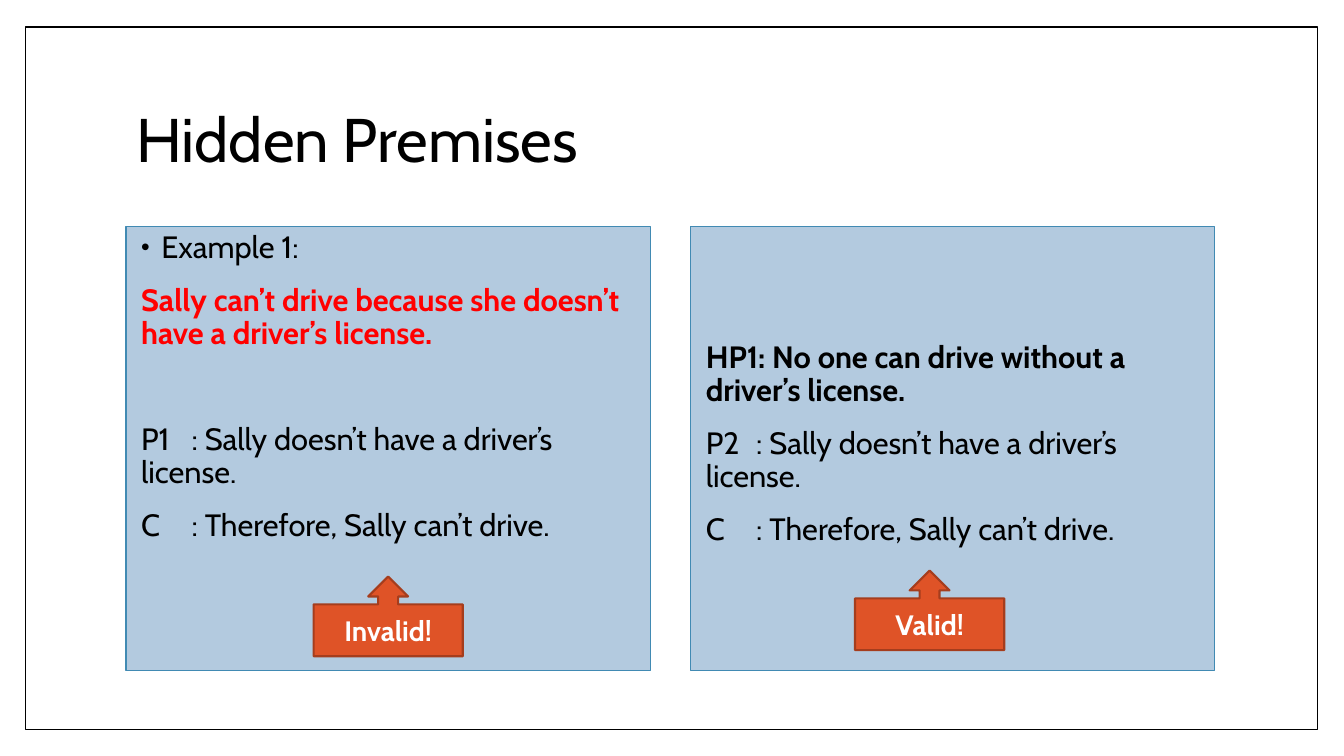
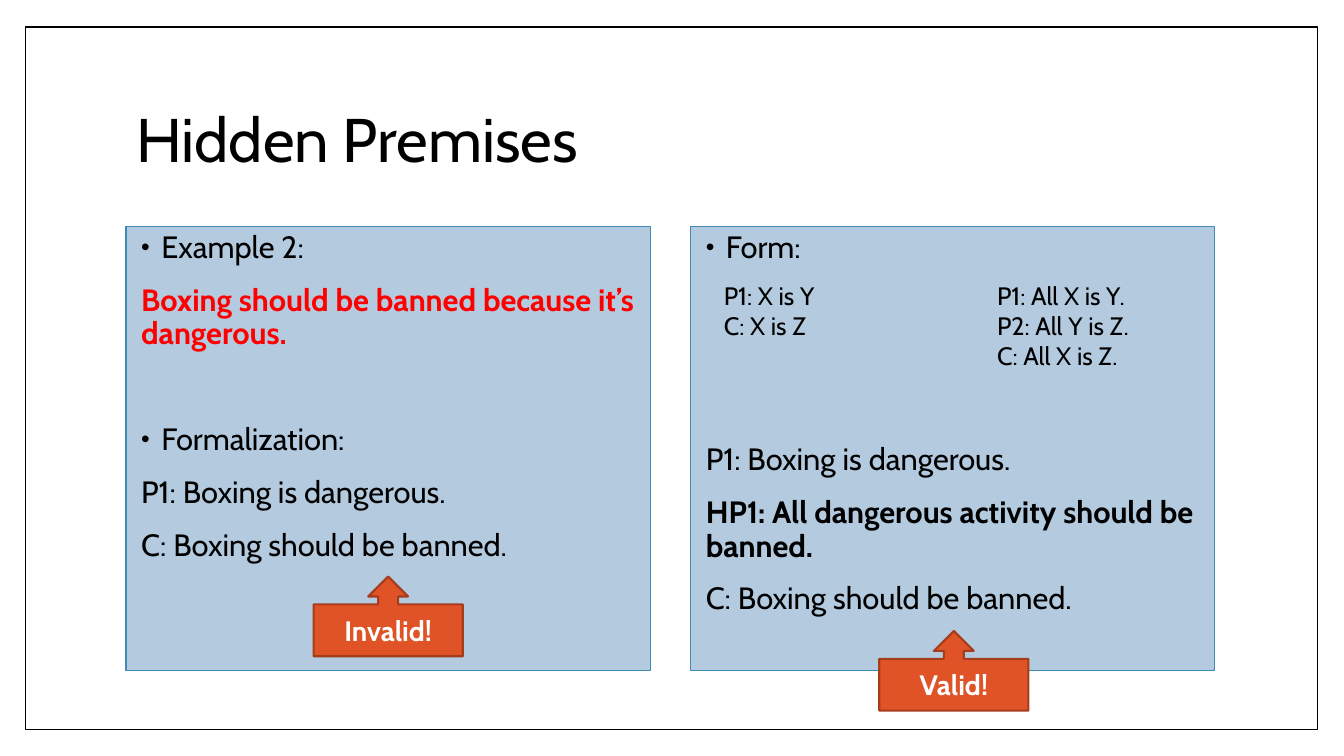
from lxml import etree
from pptx import Presentation
from pptx.dml.color import RGBColor
from pptx.enum.shapes import MSO_SHAPE
from pptx.enum.text import MSO_ANCHOR, MSO_AUTO_SIZE, PP_ALIGN
from pptx.oxml.ns import qn
from pptx.util import Inches, Pt

RECTANGLE = MSO_SHAPE.RECTANGLE
UP_CALLOUT = MSO_SHAPE.UP_ARROW_CALLOUT
MIDDLE, TOP = MSO_ANCHOR.MIDDLE, MSO_ANCHOR.TOP
NO_FIT, GROW = MSO_AUTO_SIZE.NONE, MSO_AUTO_SIZE.SHAPE_TO_FIT_TEXT
LEFT, CENTER = PP_ALIGN.LEFT, PP_ALIGN.CENTER

TWO_CONTENT = 3
COLORS = {
    "white": "FFFFFF",
    "black": "000000",
    "red": "FF0000",
    "panel": "B3CADF",
    "panel_line": "418AB3",
    "callout": "DF5327",
    "callout_line": "A53D1D",
}
PANEL_LEFTS = (1.25, 6.85)
PARAGRAPH_GAP = 14
WIDE_GAP = 52
FORM_GAP = 128
TOP_INSET = 0.05
LOW_INSET = 1.14

BULLET = {"bullet": True}
CLAIM = {"color": "red", "bold": True}
HIDDEN = {"bold": True}
TABBED = {"tab": 0.43}


def set_all(target, values):
    for name, value in values.items():
        setattr(target, name, value)


class Deck:
    font_name = "Cabin"

    def __init__(self):
        self.presentation = Presentation()
        set_all(self.presentation, {"slide_width": Inches(13.33), "slide_height": Inches(7.5)})
        self.layout = self.presentation.slide_layouts[TWO_CONTENT]
        self.slide = None

    def color(self, name):
        return RGBColor.from_string(COLORS[name])

    def place(self, shape, left, top, width, height):
        set_all(shape, {
            "left": Inches(left), "top": Inches(top),
            "width": Inches(width), "height": Inches(height),
        })

    def paint(self, shape, fill, line, line_width):
        shape.fill.solid()
        shape.fill.fore_color.rgb = self.color(fill)
        shape.line.color.rgb = self.color(line)
        shape.line.width = Pt(line_width)

    def preset(self, kind, box, fill, line, line_width):
        shape = self.slide.shapes.add_shape(kind, *map(Inches, box))
        shape.shadow.inherit = False
        self.paint(shape, fill, line, line_width)
        return shape

    def frame(self):
        shape = self.preset(RECTANGLE, (0.25, 0.27, 12.82, 6.97), "white", "black", 1)
        self.layout.shapes.element.insert(2, shape.element)

    def indent(self, paragraph, bullet, tab):
        properties = paragraph._p.get_or_add_pPr()
        properties.set("marL", str(Inches(0.25 if bullet else 0.05)))
        properties.set("indent", str(Inches(-0.2 if bullet else 0)))
        if bullet:
            bullet_color = etree.SubElement(properties, qn("a:buClr"))
            etree.SubElement(bullet_color, qn("a:srgbClr"), val=COLORS["black"])
            etree.SubElement(properties, qn("a:buSzPct"), val="80000")
            etree.SubElement(properties, qn("a:buChar"), char="•")
        else:
            etree.SubElement(properties, qn("a:buNone"))
        if tab:
            tab_list = etree.SubElement(properties, qn("a:tabLst"))
            etree.SubElement(tab_list, qn("a:tab"), pos=str(Inches(tab)), algn="l")

    def fill_paragraph(self, paragraph, text, size, color="black", bold=False, align=LEFT,
                       before=0, spacing=1.0):
        set_all(paragraph, {
            "alignment": align, "space_before": Pt(before),
            "space_after": Pt(0), "line_spacing": spacing,
        })
        run = paragraph.add_run()
        run.text = text
        set_all(run.font, {"name": self.font_name, "size": Pt(size), "bold": bold})
        run.font.color.rgb = self.color(color)

    def paragraphs(self, text_frame, count):
        return [text_frame.paragraphs[0]] + [
            text_frame.add_paragraph() for _ in range(count - 1)]

    def start(self, title):
        self.slide = self.presentation.slides.add_slide(self.layout)
        shape = self.slide.shapes.title
        self.place(shape, 1.25, 0.67, 10.8, 1.48)
        set_all(shape.text_frame, {"vertical_anchor": MIDDLE, "auto_size": NO_FIT})
        self.fill_paragraph(shape.text_frame.paragraphs[0], title, 44, spacing=0.9)

    def panel(self, column, lines, top_inset=TOP_INSET):
        shape = self.slide.placeholders[column + 1]
        self.place(shape, PANEL_LEFTS[column], 2.25, 5.2, 4.4)
        self.paint(shape, "panel", "panel_line", 0.79)
        text_frame = shape.text_frame
        set_all(text_frame, {
            "vertical_anchor": TOP, "auto_size": NO_FIT, "margin_top": Inches(top_inset),
        })
        for index, paragraph in enumerate(self.paragraphs(text_frame, len(lines))):
            text, style = lines[index]
            options = {"before": PARAGRAPH_GAP if index else 0, **style}
            self.indent(paragraph, options.pop("bullet", False), options.pop("tab", None))
            self.fill_paragraph(paragraph, text, 22, spacing=0.9, **options)

    def callout(self, text, left, top):
        shape = self.preset(UP_CALLOUT, (left, top, 1.48, 0.79), "callout", "callout_line", 1.5)
        shape.text_frame.vertical_anchor = MIDDLE
        self.fill_paragraph(shape.text_frame.paragraphs[0], text, 20, "white", True, CENTER)

    def form(self, left, height, lines):
        shape = self.slide.shapes.add_textbox(*map(Inches, (left, 2.73, 1.68, height)))
        set_all(shape.text_frame, {"word_wrap": True, "auto_size": GROW})
        for paragraph, text in zip(self.paragraphs(shape.text_frame, len(lines)), lines):
            self.indent(paragraph, False, None)
            self.fill_paragraph(paragraph, text, 18)


def main():
    deck = Deck()

    deck.start("Hidden Premises")
    deck.frame()
    deck.panel(0, [
        ("Example 1:", BULLET),
        ("Sally can’t drive because she doesn’t have a driver’s license.", CLAIM),
        ("P1\t: Sally doesn’t have a driver’s license.", {**TABBED, "before": WIDE_GAP}),
        ("C\t: Therefore, Sally can’t drive.", TABBED),
    ])
    deck.panel(1, [
        ("HP1: No one can drive without a driver’s license.", HIDDEN),
        ("P2\t: Sally doesn’t have a driver’s license.", TABBED),
        ("C\t: Therefore, Sally can’t drive.", TABBED),
    ], LOW_INSET)
    deck.callout("Invalid!", 3.11, 5.72)
    deck.callout("Valid!", 8.48, 5.66)

    deck.start("Hidden Premises")
    deck.panel(0, [
        ("Example 2:", BULLET),
        ("Boxing should be banned because it’s dangerous.", CLAIM),
        ("Formalization:", {**BULLET, "before": WIDE_GAP}),
        ("P1: Boxing is dangerous.", {}),
        ("C: Boxing should be banned.", {}),
    ])
    deck.panel(1, [
        ("Form:", BULLET),
        ("P1: Boxing is dangerous.", {"before": FORM_GAP}),
        ("HP1: All dangerous activity should be banned.", HIDDEN),
        ("C: Boxing should be banned.", {}),
    ])
    deck.callout("Invalid!", 3.11, 5.72)
    deck.callout("Valid!", 8.72, 6.26)
    deck.form(7.03, 0.71, ["P1: X is Y", "C: X is Z"])
    deck.form(9.74, 1.01, ["P1: All X is Y.", "P2: All Y is Z.", "C: All X is Z."])

    deck.presentation.save("out.pptx")


if __name__ == "__main__":
    main()
